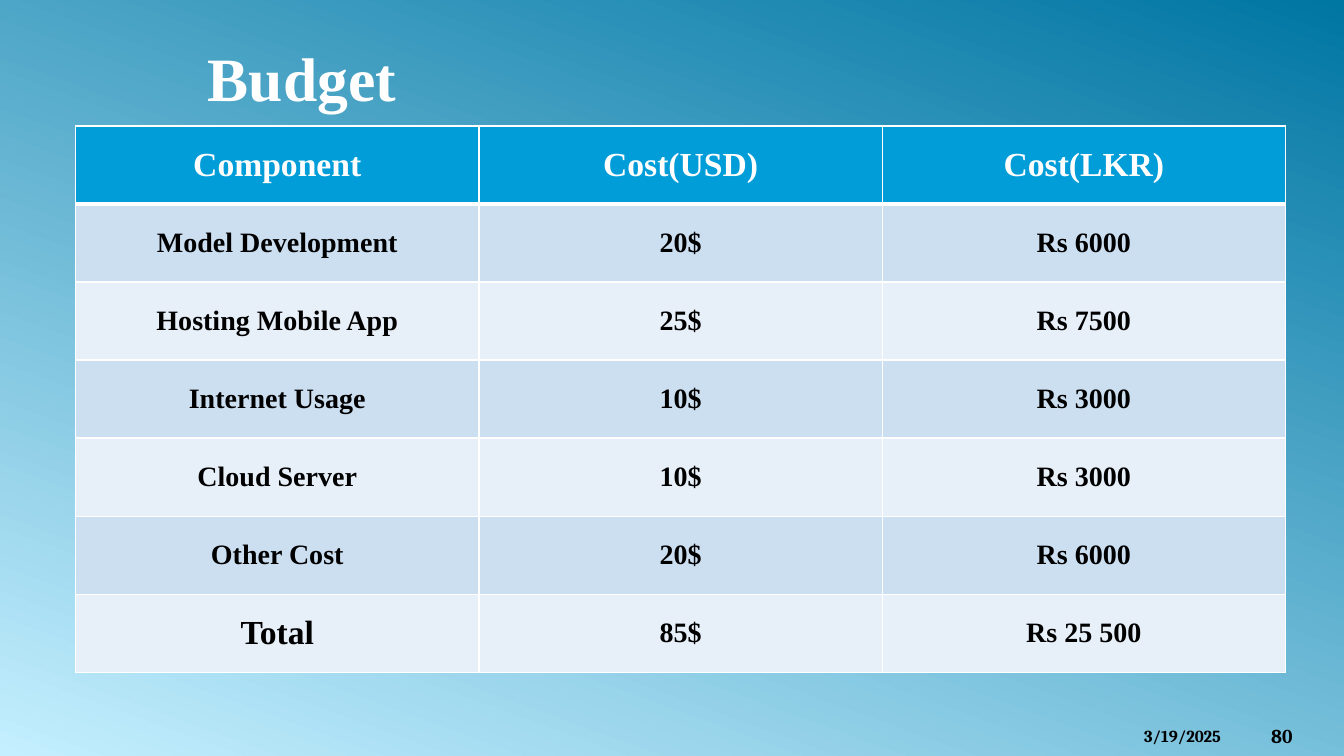
"""Build the project budget slide with its cost table."""
from dataclasses import dataclass

from lxml.etree import SubElement
from pptx import Presentation
from pptx.dml.color import RGBColor
from pptx.enum.text import MSO_ANCHOR as Anchor, MSO_AUTO_SIZE as AutoSize, PP_ALIGN as Align
from pptx.oxml.ns import qn
from pptx.slide import Slide
from pptx.table import _Cell as Cell
from pptx.text.text import TextFrame
from pptx.util import Inches, Pt

WHITE = RGBColor(0xFF, 0xFF, 0xFF)
BLACK = RGBColor(0x00, 0x00, 0x00)
DEEP_BLUE = RGBColor(0x00, 0x76, 0xA3)
PALE_CYAN = RGBColor(0xC4, 0xEF, 0xFF)
HEADER_BLUE = RGBColor(0x00, 0x9D, 0xD9)
BANDS = (RGBColor(0xCC, 0xDF, 0xF1), RGBColor(0xE7, 0xEF, 0xF8))

BODY_FONT = "Times New Roman"
FOOTER_FONT = "Cambria"


@dataclass(frozen=True)
class CostRow:
    component: str
    dollars: str
    rupees: str
    label_size: int = 20
    cost_size: int = 20


@dataclass(frozen=True)
class FooterItem:
    text: str
    left: float
    top: float
    width: float
    height: float
    size: int
    anchor: Anchor


COST_ROWS = (
    CostRow("Component", "Cost(USD)", "Cost(LKR)", label_size=24, cost_size=24),
    CostRow("Model Development", "20$", "Rs 6000"),
    CostRow("Hosting Mobile App", "25$", "Rs 7500"),
    CostRow("Internet Usage", "10$", "Rs 3000"),
    CostRow("Cloud Server", "10$", "Rs 3000"),
    CostRow("Other Cost", "20$", "Rs 6000"),
    CostRow("Total", "85$", "Rs 25 500", label_size=24),
)

FOOTER_ITEMS = (
    FooterItem("80", 12.51, 7.1, 0.74, 0.4, 14, Anchor.MIDDLE),
    FooterItem("3/19/2025", 11.25, 7.15, 1.17, 0.3, 12, Anchor.TOP),
)


def write_text(frame: TextFrame, text: str, *, size: int, color: RGBColor,
               font: str = BODY_FONT, align: Align = Align.CENTER) -> None:
    para = frame.paragraphs[0]
    para.alignment = align
    span = para.add_run()
    span.text = text
    span.font.name = font
    span.font.size = Pt(size)
    span.font.bold = True
    span.font.color.rgb = color


def set_borders(cell: Cell, *, top: int, bottom: int) -> None:
    properties = cell._tc.get_or_add_tcPr()
    for side, width in (("L", 1), ("R", 1), ("T", top), ("B", bottom)):
        line = SubElement(properties, qn(f"a:ln{side}"), w=str(Pt(width)))
        fill = SubElement(line, qn("a:solidFill"))
        SubElement(fill, qn("a:srgbClr"), val=str(WHITE))


def paint_background(page: Slide) -> None:
    fill = page.background.fill
    fill.gradient()
    fill.gradient_angle = 250
    for stop, color in zip(fill.gradient_stops, (DEEP_BLUE, PALE_CYAN)):
        stop.color.rgb = color


def add_title(page: Slide, text: str) -> None:
    title = page.shapes.title
    title.left, title.top = Inches(0.33), Inches(0.33)
    title.width, title.height = Inches(5.33), Inches(0.87)
    title.text_frame.auto_size = AutoSize.NONE
    title.text_frame.vertical_anchor = Anchor.MIDDLE
    write_text(title.text_frame, text, size=44, color=WHITE)


def add_cost_table(page: Slide) -> None:
    table = page.shapes.add_table(len(COST_ROWS), 3, Inches(0.75), Inches(1.25),
                                  Inches(12), Inches(5.42)).table
    for index, row in enumerate(COST_ROWS):
        is_header = index == 0
        texts = (row.component, row.dollars, row.rupees)
        sizes = (row.label_size, row.cost_size, row.cost_size)
        for column, (text, size) in enumerate(zip(texts, sizes)):
            cell = table.cell(index, column)
            set_borders(cell, top=3 if index == 1 else 1, bottom=3 if is_header else 1)
            cell.fill.solid()
            cell.fill.fore_color.rgb = HEADER_BLUE if is_header else BANDS[(index - 1) % 2]
            cell.vertical_anchor = Anchor.MIDDLE
            write_text(cell.text_frame, text, size=size, color=WHITE if is_header else BLACK)


def add_footer_item(page: Slide, item: FooterItem) -> None:
    box = page.shapes.add_textbox(Inches(item.left), Inches(item.top),
                                  Inches(item.width), Inches(item.height))
    box.text_frame.word_wrap = True
    box.text_frame.vertical_anchor = item.anchor
    write_text(box.text_frame, item.text, size=item.size, color=BLACK,
               font=FOOTER_FONT, align=Align.LEFT)


def main() -> None:
    deck = Presentation()
    deck.slide_width, deck.slide_height = Inches(13.33), Inches(7.5)
    page = deck.slides.add_slide(deck.slide_layouts.get_by_name("Title Only"))
    paint_background(page)
    for item in FOOTER_ITEMS:
        add_footer_item(page, item)
    add_title(page, "Budget")
    add_cost_table(page)
    deck.save("out.pptx")


if __name__ == "__main__":
    main()
